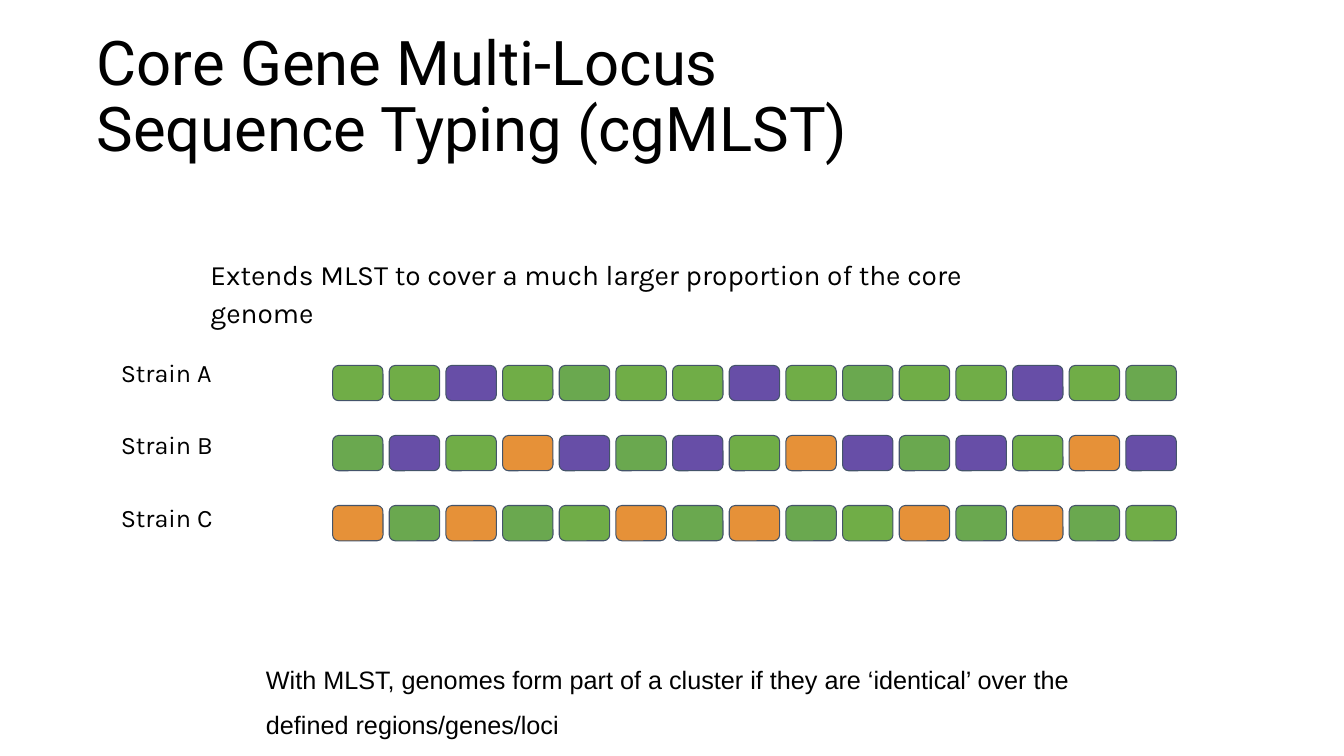
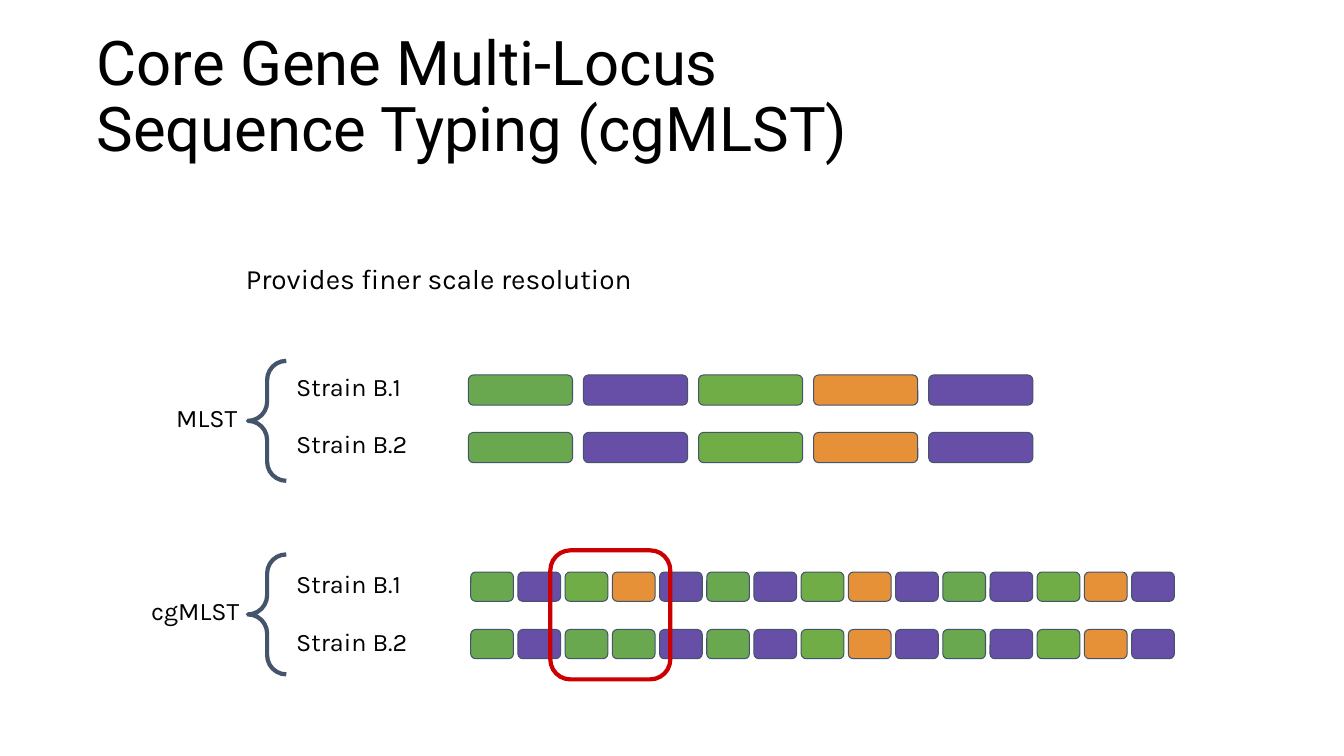
from dataclasses import dataclass
from typing import NamedTuple

from pptx import Presentation
from pptx.dml.color import RGBColor
from pptx.enum.shapes import MSO_SHAPE as Shape
from pptx.enum.text import MSO_ANCHOR as Anchor, MSO_AUTO_SIZE as AutoSize, PP_ALIGN as Align
from pptx.util import Inches, Pt

BLACK = RGBColor(0x00, 0x00, 0x00)
SLATE = RGBColor(0x44, 0x54, 0x6A)
RED = RGBColor(0xCC, 0x00, 0x00)
LEAF = RGBColor(0x70, 0xAD, 0x47)
GREEN = RGBColor(0x6A, 0xA8, 0x4F)
PURPLE = RGBColor(0x67, 0x4E, 0xA7)
ORANGE = RGBColor(0xE6, 0x91, 0x38)
ALLELES = {"L": LEAF, "G": GREEN, "P": PURPLE, "O": ORANGE}

WIDTH, HEIGHT = Inches(13.33), Inches(7.5)
COL, ROW = WIDTH / 40, HEIGHT / 30
TITLE = "Core Gene Multi-Locus Sequence Typing (cgMLST)"


class Box(NamedTuple):
    col: float
    row: float
    cols: float
    rows: float

    def emu(self) -> tuple[int, ...]:
        return (round(self.col * COL), round(self.row * ROW),
                round(self.cols * COL), round(self.rows * ROW))


@dataclass(frozen=True)
class GeneGrid:
    area: Box
    block_cols: float
    row_pitch: float
    strains: tuple[str, ...]


@dataclass(frozen=True)
class Labels:
    first: Box
    row_pitch: float
    texts: tuple[str, ...]


@dataclass(frozen=True)
class Method:
    name: str
    name_box: Box
    brace: Box
    labels: Labels
    genes: GeneGrid


TITLE_BOX = Box(2.58, 1.36, 24.84, 5.6)

CORE_LABELS = Labels(Box(3.3, 13.76, 6.12, 2.76), 2.88, ("Strain A", "Strain B", "Strain C"))
CORE_GENES = GeneGrid(Box(9.9, 14.5, 25.11, 1.4), 1.5, 2.78,
                      ("LLPLG" * 3, "GPLOP" * 3, "OGOGL" * 3))

PAIR = ("Strain B.1", "Strain B.2")
METHODS = (
    Method("MLST", Box(4.95, 15.56, 2.82, 2.28), Box(7.38, 14.32, 1.14, 4.76),
           Labels(Box(8.52, 14.32, 5.1, 2.28), 2.28, PAIR),
           GeneGrid(Box(13.94, 14.88, 16.8, 1.2), 3.1, 2.28, ("GPLOP",) * 2)),
    Method("cgMLST", Box(4.2, 23.24, 3.57, 2), Box(7.38, 22, 1.14, 4.76),
           Labels(Box(8.52, 22.16, 5.1, 2.28), 2.28, PAIR),
           GeneGrid(Box(14.01, 22.7, 20.94, 1.16), 1.27, 2.28,
                    ("GPLOP" * 3, "GPGGP" + "GPLOP" * 2))),
)
DIFFERENCE = Box(16.38, 21.84, 3.57, 5.12)


def write(tf, text: str, *, font: str = "Karla", size: float = 18, spacing: float = 1,
          inset: float = 0.1, anchor=Anchor.TOP) -> None:
    tf.word_wrap = True
    tf.auto_size = AutoSize.NONE
    tf.vertical_anchor = anchor
    tf.margin_left = tf.margin_right = Inches(0.1)
    tf.margin_top = tf.margin_bottom = Inches(inset)
    p = tf.paragraphs[0]
    p.alignment = Align.LEFT
    p.line_spacing = spacing
    r = p.add_run()
    r.text = text
    r.font.name = font
    r.font.size = Pt(size)
    r.font.color.rgb = BLACK


def add_text(s, box: Box, text: str, **fmt) -> None:
    write(s.shapes.add_textbox(*box.emu()).text_frame, text, **fmt)


def add_outline(s, kind, box: Box, line: RGBColor, weight: float,
                fill: RGBColor | None = None):
    sp = s.shapes.add_shape(kind, *box.emu())
    sp.shadow.inherit = False
    sp.line.color.rgb = line
    sp.line.width = Pt(weight)
    if fill is None:
        sp.fill.background()
    else:
        sp.fill.solid()
        sp.fill.fore_color.rgb = fill
    return sp


def add_labels(s, labels: Labels) -> None:
    for i, text in enumerate(labels.texts):
        row = labels.first.row + i * labels.row_pitch
        add_text(s, labels.first._replace(row=row), text)


def add_genes(s, grid: GeneGrid) -> None:
    area = grid.area
    for i, strain in enumerate(grid.strains):
        pitch = (area.cols - grid.block_cols) / (len(strain) - 1)
        for j, allele in enumerate(strain):
            block = Box(area.col + j * pitch, area.row + i * grid.row_pitch,
                        grid.block_cols, area.rows)
            add_outline(s, Shape.ROUNDED_RECTANGLE, block, SLATE, 0.75, ALLELES[allele])


def add_method(s, method: Method) -> None:
    add_text(s, method.name_box, method.name)
    brace = add_outline(s, Shape.LEFT_BRACE, method.brace, SLATE, 3)
    brace.adjustments[0] = 0.5
    add_labels(s, method.labels)
    add_genes(s, method.genes)


def add_slide(prs, lead: str, lead_box: Box):
    s = prs.slides.add_slide(prs.slide_layouts[5])
    title = s.shapes.title
    title.left, title.top, title.width, title.height = TITLE_BOX.emu()
    write(title.text_frame, TITLE, font="Roboto", size=44, spacing=0.9, anchor=Anchor.BOTTOM)
    add_text(s, lead_box, lead, size=20, spacing=1.15)
    return s


def main() -> None:
    prs = Presentation()
    prs.slide_width, prs.slide_height = WIDTH, HEIGHT

    s = add_slide(prs, "Extends MLST to cover a much larger proportion of the core genome",
                  Box(5.97, 9.6, 25.32, 2.68))
    add_labels(s, CORE_LABELS)
    add_genes(s, CORE_GENES)
    add_text(s, Box(7.62, 25.56, 24.9, 3.88),
             "With MLST, genomes form part of a cluster if they are ‘identical’ "
             "over the defined regions/genes/loci",
             font="Arial", spacing=1.5, inset=0.05)

    s = add_slide(prs, "Provides finer scale resolution", Box(7.02, 9.76, 22.74, 2.68))
    for method in METHODS:
        add_method(s, method)
    add_outline(s, Shape.ROUNDED_RECTANGLE, DIFFERENCE, RED, 3)

    prs.save("out.pptx")


if __name__ == "__main__":
    main()
